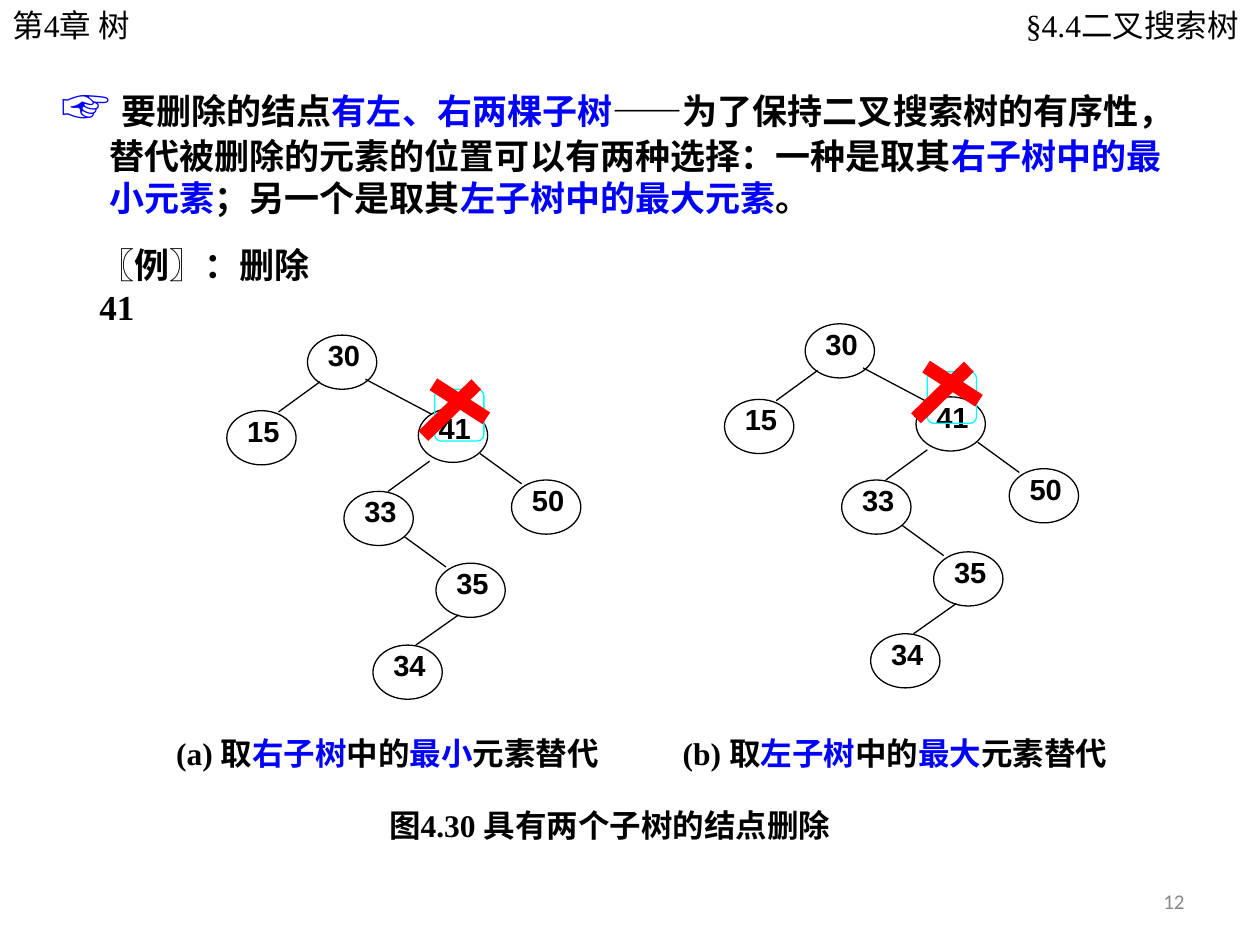
"""Build a slide on deleting a node with two children from a binary search tree."""
from dataclasses import dataclass
from typing import NamedTuple, Optional

from lxml import etree
from pptx import Presentation
from pptx import util as u
from pptx.dml.color import RGBColor
from pptx.enum import shapes, text
from pptx.oxml.ns import qn

EMU_PER_PX = 9144


@dataclass(frozen=True)
class Theme:
    ink: str = "000000"
    paper: str = "FFFFFF"
    accent: str = "0000FF"
    muted: str = "898989"
    cross: str = "FF0000"
    frame: str = "00FFFF"
    serif: str = "Times New Roman"
    sans: str = "Arial"
    number_font: str = "Calibri"
    number: float = 12
    node: float = 16.6
    caption: float = 18
    body: float = 20
    pointer: float = 28
    thin: float = 0.75
    thick: float = 8


THEME = Theme()


class Box(NamedTuple):
    left: int
    top: int
    width: int
    height: int


class Span(NamedTuple):
    words: str
    size: float = THEME.caption
    color: str = THEME.ink
    bold: bool = True
    font: str = THEME.serif


class Label(NamedTuple):
    box: Box
    spans: list[Span]
    wrap: bool = True
    align: Optional[text.PP_ALIGN] = None
    margins: tuple[int, int] = (10, 10)
    hanging: int = 0
    anchor: text.MSO_ANCHOR = text.MSO_ANCHOR.TOP


class Node(NamedTuple):
    key: str
    left: int
    top: int
    filled: bool = True


class Edge(NamedTuple):
    x1: int
    y1: int
    x2: int
    y2: int


class Origin(NamedTuple):
    x: int
    y: int


NODE_SIZE = (55, 43)
KEY_BOX = Box(14, 6, 30, 25)
NODES = [Node("41", 332, 324), Node("50", 406, 381), Node("30", 244, 266), Node("15", 180, 326),
         Node("33", 273, 390), Node("35", 346, 447, False), Node("34", 296, 512)]
EDGES = [Edge(290, 301, 343, 329), Edge(254, 303, 221, 327), Edge(381, 360, 414, 384),
         Edge(341, 366, 308, 390), Edge(321, 426, 354, 450), Edge(364, 488, 330, 512)]
CROSS_FRAME = Box(9, 4, 39, 41)
CROSS_STROKES = [Edge(8, 0, 50, 27), Edge(0, 41, 42, 0)]
TREES = [(Origin(0, 0), Origin(336, 305)), (Origin(395, -9), Origin(727, 291))]


def px(length: int) -> u.Emu:
    return u.Emu(length * EMU_PER_PX)


def place(box: Box) -> list[u.Emu]:
    return [px(length) for length in box]


def rgb(color: str) -> RGBColor:
    return RGBColor.from_string(color)


def style_run(run, span: Span) -> None:
    run.font.name = span.font
    run.font.size = u.Pt(span.size)
    run.font.bold = span.bold
    run.font.color.rgb = rgb(span.color)


def draw_label(slide, label: Label) -> None:
    shape = slide.shapes.add_textbox(*place(label.box))
    frame = shape.text_frame
    frame.word_wrap = label.wrap
    frame.auto_size = text.MSO_AUTO_SIZE.NONE
    frame.vertical_anchor = label.anchor
    frame.margin_left, frame.margin_right = map(px, label.margins)
    frame.margin_top = frame.margin_bottom = px(5)
    paragraph = frame.paragraphs[0]
    paragraph.alignment = label.align
    if label.hanging:
        properties = paragraph._p.get_or_add_pPr()
        properties.set("marL", str(px(label.hanging)))
        properties.set("indent", str(px(-label.hanging)))
    for span in label.spans:
        run = paragraph.add_run()
        run.text = span.words
        style_run(run, span)


def draw_outline(slide, kind: shapes.MSO_SHAPE, box: Box, color: str, filled: bool):
    shape = slide.shapes.add_shape(kind, *place(box))
    shape.shadow.inherit = False
    shape.line.color.rgb = rgb(color)
    shape.line.width = u.Pt(THEME.thin)
    paint(shape, filled)
    return shape


def paint(shape, filled: bool) -> None:
    if filled:
        shape.fill.solid()
        shape.fill.fore_color.rgb = rgb(THEME.paper)
    else:
        shape.fill.background()


def draw_node(slide, node: Node, origin: Origin) -> None:
    left, top = node.left + origin.x, node.top + origin.y
    draw_outline(slide, shapes.MSO_SHAPE.OVAL, Box(left, top, *NODE_SIZE), THEME.ink, node.filled)
    key_box = KEY_BOX._replace(left=left + KEY_BOX.left, top=top + KEY_BOX.top)
    shape = slide.shapes.add_textbox(*place(key_box))
    paint(shape, node.filled)
    frame = shape.text_frame
    frame.word_wrap = True
    frame.margin_left = frame.margin_right = frame.margin_top = frame.margin_bottom = 0
    frame.text = node.key
    paragraph = frame.paragraphs[0]
    paragraph.alignment = text.PP_ALIGN.CENTER
    paragraph.line_spacing = 0.86
    style_run(paragraph.runs[0], Span(node.key, THEME.node, font=THEME.sans))


def draw_edge(slide, edge: Edge, origin: Origin, color: str, width: float) -> None:
    ends = (edge.x1 + origin.x, edge.y1 + origin.y, edge.x2 + origin.x, edge.y2 + origin.y)
    connector = slide.shapes.add_connector(shapes.MSO_CONNECTOR.STRAIGHT, *map(px, ends))
    connector.line.color.rgb = rgb(color)
    connector.line.width = u.Pt(width)
    etree.SubElement(connector._element.spPr, qn("a:effectLst"))


def draw_tree(slide, origin: Origin, cross: Origin) -> None:
    for node in NODES:
        draw_node(slide, node, origin)
    for edge in EDGES:
        draw_edge(slide, edge, origin, THEME.ink, THEME.thin)
    box = CROSS_FRAME._replace(left=cross.x + CROSS_FRAME.left, top=cross.y + CROSS_FRAME.top)
    frame = draw_outline(slide, shapes.MSO_SHAPE.ROUNDED_RECTANGLE, box, THEME.frame, False)
    frame.adjustments[0] = 0.13
    for stroke in CROSS_STROKES:
        draw_edge(slide, stroke, cross, THEME.cross, THEME.thick)


def alternate(parts: list[str], size: float) -> list[Span]:
    return [Span(words, size, (THEME.ink, THEME.accent)[index % 2]) for index, words in enumerate(parts)]


RULE = ["要删除的结点", "有左、右两棵子树", "——为了保持二叉搜索树的有序性，替代被删除的元素的位置可以有两种选择：一种是取其",
        "右子树中的最小元素", "；另一个是取其", "左子树中的最大元素", "。"]
RIGHT = text.PP_ALIGN.RIGHT
LABELS = [
    Label(Box(717, 695, 233, 40), [Span("12", THEME.number, THEME.muted, False, THEME.number_font)],
          align=RIGHT, anchor=text.MSO_ANCHOR.MIDDLE),
    Label(Box(0, 0, 209, 40), [Span("第4章 树", bold=False)]),
    Label(Box(618, 0, 381, 40), [Span("§4.4二叉搜索树", bold=False)], align=RIGHT, margins=(12, 16)),
    Label(Box(299, 635, 384, 40), [Span("图4.30 具有两个子树的结点删除")]),
    Label(Box(39, 55, 906, 124), [Span("☞ ", THEME.pointer, THEME.accent, font=THEME.sans),
                                  *alternate(RULE, THEME.body)], hanging=38),
    Label(Box(69, 188, 212, 44), [Span("〖例〗：删除 41", THEME.body)]),
    Label(Box(130, 578, 366, 40),
          alternate(["(a) 取", "右子树", "中的", "最小", "元素替代"], THEME.caption)),
    Label(Box(532, 578, 366, 40),
          alternate(["(b) 取", "左子树", "中的", "最大", "元素替代"], THEME.caption)),
]


def main() -> None:
    presentation = Presentation()
    presentation.slide_width, presentation.slide_height = px(1000), px(750)
    slide = presentation.slides.add_slide(presentation.slide_layouts[6])
    for label in LABELS:
        draw_label(slide, label)
    for origin, cross in TREES:
        draw_tree(slide, origin, cross)
    presentation.save("out.pptx")


if __name__ == "__main__":
    main()
